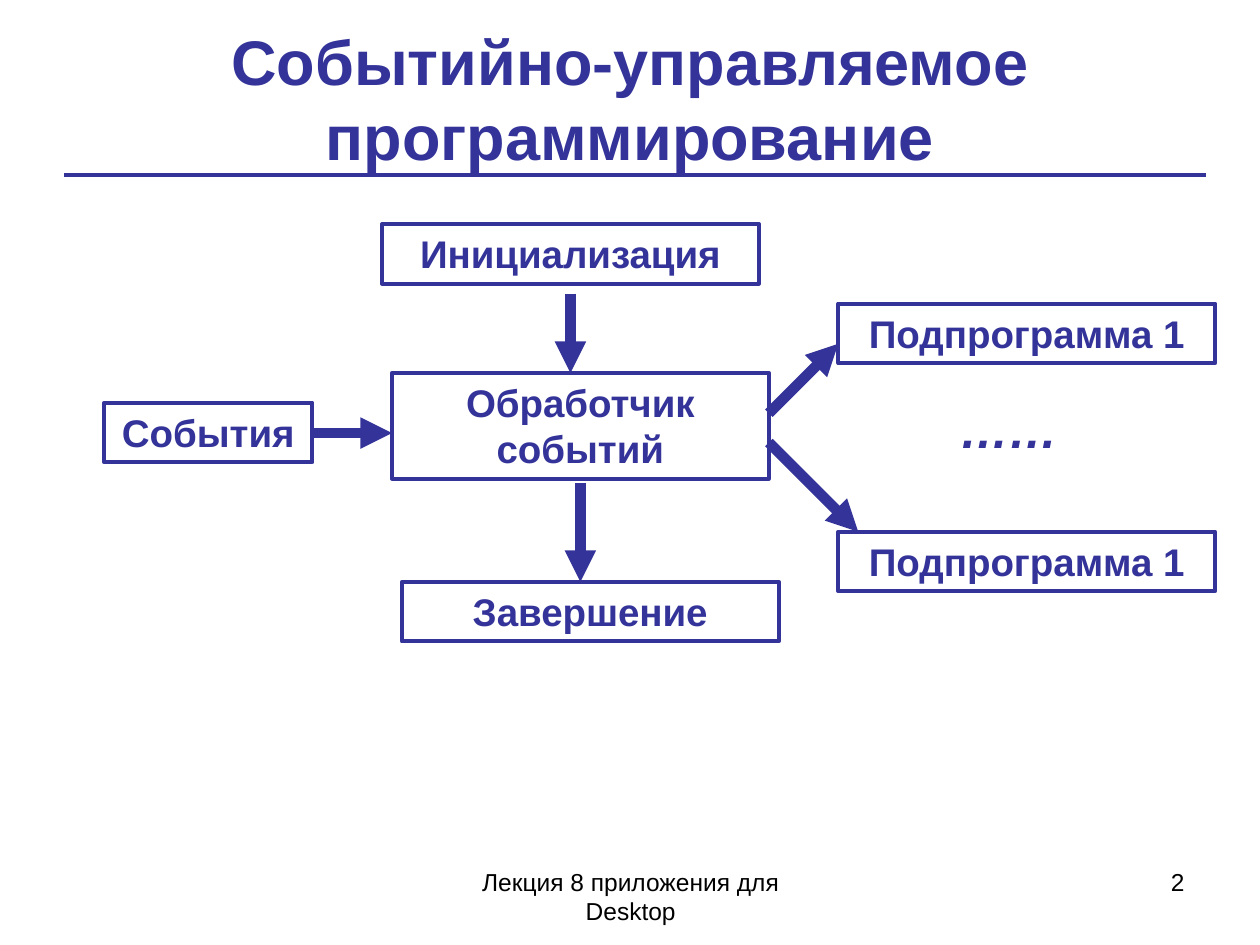
from dataclasses import dataclass

from lxml import etree
from pptx import Presentation
from pptx.dml.color import RGBColor
from pptx.enum.shapes import MSO_CONNECTOR, MSO_SHAPE
from pptx.enum.text import MSO_ANCHOR, PP_ALIGN
from pptx.oxml.ns import qn
from pptx.util import Cm, Pt

LEFT, CENTER, RIGHT = PP_ALIGN.LEFT, PP_ALIGN.CENTER, PP_ALIGN.RIGHT
TOP, MIDDLE = MSO_ANCHOR.TOP, MSO_ANCHOR.MIDDLE
STRAIGHT, RECT = MSO_CONNECTOR.STRAIGHT, MSO_SHAPE.RECTANGLE


@dataclass(frozen=True)
class Theme:
    font: str = "Arial"
    main: RGBColor = RGBColor(0x33, 0x33, 0x99)
    footer: RGBColor = RGBColor(0, 0, 0)
    title_size: int = 36
    box_size: int = 22
    dots_size: int = 28
    footer_size: int = 14
    thin: float = 2.25
    thick: float = 6


theme = Theme()


def write(shape, text, size=theme.box_size, color=theme.main, bold=True,
          italic=False, align=CENTER, anchor=TOP):
    tf = shape.text_frame
    tf.word_wrap = True
    tf.vertical_anchor = anchor
    p = tf.paragraphs[0]
    p.alignment = align
    r = p.add_run()
    r.text = text
    r.font.name = theme.font
    r.font.size = Pt(size)
    r.font.bold = bold
    r.font.italic = italic
    r.font.color.rgb = color


def connect(x1, y1, x2, y2, width, arrow=False):
    c = s.shapes.add_connector(STRAIGHT, Cm(x1), Cm(y1), Cm(x2), Cm(y2))
    c.line.color.rgb = theme.main
    c.line.width = Pt(width)
    if arrow:
        etree.SubElement(c.line._get_or_add_ln(), qn("a:tailEnd"), type="triangle")
    etree.SubElement(c._element.spPr, qn("a:effectLst"))


prs = Presentation()
prs.slide_width, prs.slide_height = Cm(25.4), Cm(19.05)
s = prs.slides.add_slide(prs.slide_layouts[5])

# Footer and page number
for text, x, w, align in [
    ("Лекция 8 приложения для Desktop", 8.69, 8.05, CENTER),
    ("2", 18.21, 5.92, RIGHT),
]:
    tb = s.shapes.add_textbox(Cm(x), Cm(17.35), Cm(w), Cm(1.32))
    write(tb, text, size=theme.footer_size, color=theme.footer, bold=False, align=align)

# Title with its rule
title = s.shapes.title
title.left, title.top, title.width, title.height = Cm(1.27), Cm(0), Cm(22.86), Cm(3.94)
write(title, "Событийно-управляемое программирование", size=theme.title_size, anchor=MIDDLE)
connect(1.3, 3.53, 24.31, 3.53, theme.thin)

# Boxes of the flow
wide, low, high = 7.6, 1.2, 2.13
for text, x, y, w, h in [
    ("Инициализация", 7.7, 4.52, wide, low),
    ("Обработчик событий", 7.9, 7.52, wide, high),
    ("Завершение", 8.1, 11.73, wide, low),
    ("Подпрограмма 1", 16.9, 6.12, wide, low),
    ("Подпрограмма 1", 16.9, 10.72, wide, low),
    ("Cобытия", 2.1, 8.12, 4.2, low),
]:
    sp = s.shapes.add_shape(RECT, Cm(x), Cm(y), Cm(w), Cm(h))
    sp.shadow.inherit = False
    sp.fill.background()
    sp.line.color.rgb = theme.main
    sp.line.width = Pt(theme.thin)
    write(sp, text)

dots = s.shapes.add_textbox(Cm(19.1), Cm(7.92), Cm(3), Cm(1.45))
write(dots, "……", size=theme.dots_size, italic=True, align=LEFT)

# Arrows between the boxes
for ends in [
    (11.5, 5.92, 11.5, 7.52),
    (11.7, 9.73, 11.7, 11.73),
    (6.3, 8.73, 7.9, 8.73),
    (15.5, 8.92, 17.3, 10.72),
    (15.5, 8.33, 16.9, 6.93),
]:
    connect(*ends, theme.thick, arrow=True)

prs.save("out.pptx")
